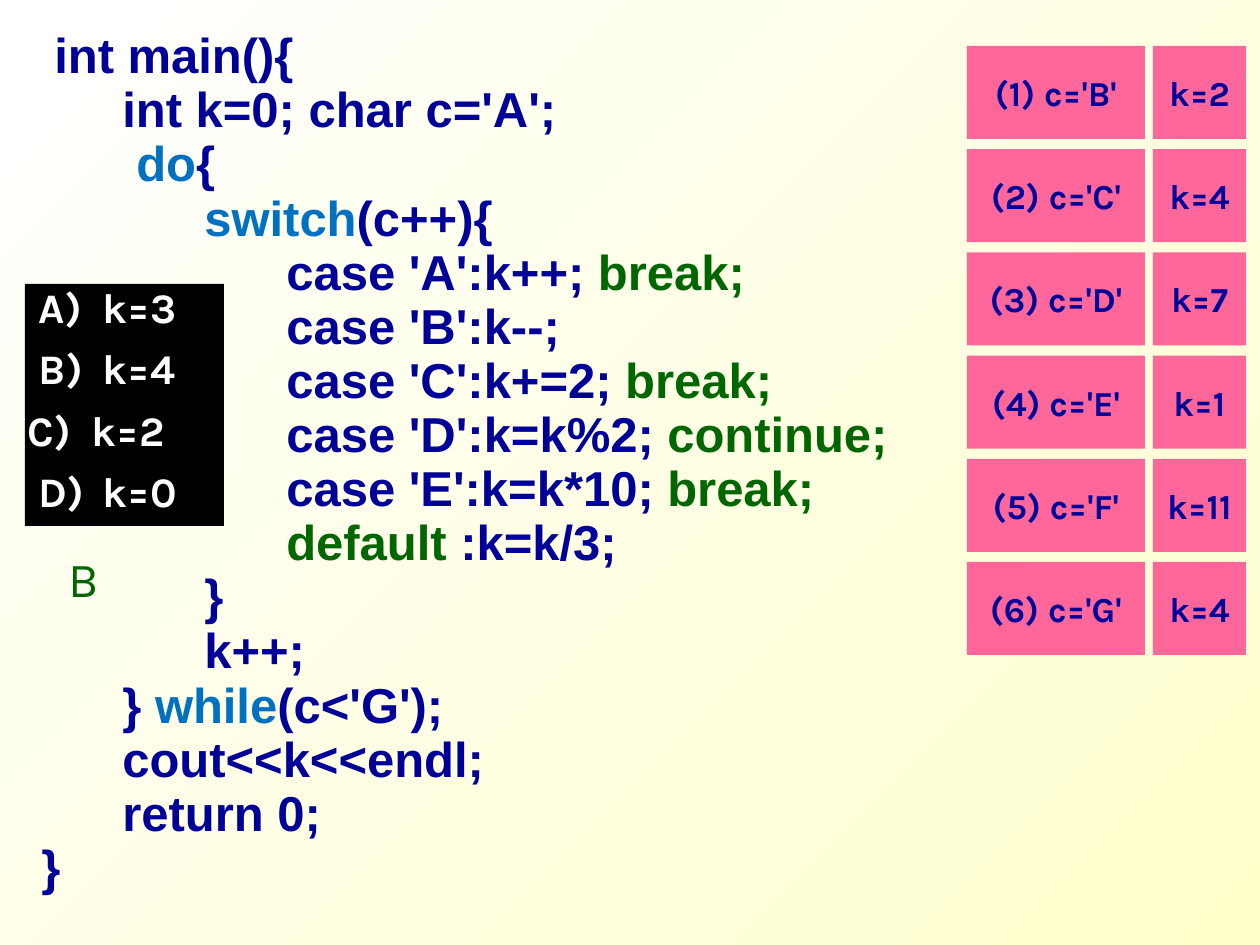
from pptx import Presentation
from pptx.dml.color import RGBColor
from pptx.enum.shapes import MSO_SHAPE
from pptx.enum.text import MSO_ANCHOR, PP_ALIGN
from pptx.util import Emu, Pt

SCALE = 914400 / 126
WHITE = RGBColor(0xFF, 0xFF, 0xFF)
CREAM = RGBColor(0xFF, 0xFF, 0xCC)
BLACK = RGBColor(0x00, 0x00, 0x00)
PINK = RGBColor(0xFF, 0x66, 0x99)
NAVY = RGBColor(0x00, 0x00, 0x99)
BLUE = RGBColor(0x00, 0x70, 0xC0)
GREEN = RGBColor(0x00, 0x66, 0x00)

CODE_FONT = {"name": "Arial", "size": Pt(28), "bold": True}
OPTION_FONT = {"name": "Karla", "size": Pt(24), "bold": True}
TRACE_FONT = {"name": "Karla", "size": Pt(20), "bold": True}
ANSWER_FONT = {"name": "Karla", "size": Pt(28), "bold": False}
CODE_SPACING = {"line_spacing": 0.4, "space_before": Pt(17.5)}
OPTION_SPACING = {"line_spacing": 0.7, "space_before": Pt(15)}
CENTERED = {"alignment": PP_ALIGN.CENTER}

CODE = [
    (27, [("int main(){", NAVY)]),
    (95, [("int k=0; char c='A';", NAVY)]),
    (109, [("do", BLUE), ("{", NAVY)]),
    (177, [("switch", BLUE), ("(c++){", NAVY)]),
    (259, [("case 'A':k++; ", NAVY), ("break;", GREEN)]),
    (259, [("case 'B':k--;", NAVY)]),
    (259, [("case 'C':k+=2; ", NAVY), ("break;", GREEN)]),
    (259, [("case 'D':k=k%2; ", NAVY), ("continue;", GREEN)]),
    (259, [("case 'E':k=k*10; ", NAVY), ("break;", GREEN)]),
    (259, [("default ", GREEN), (":k=k/3;", NAVY)]),
    (177, [("}", NAVY)]),
    (177, [("k++;", NAVY)]),
    (95, [("} ", NAVY), ("while", BLUE), ("(c<'G');", NAVY)]),
    (95, [("cout<<k<<endl;", NAVY)]),
    (95, [("return 0;", NAVY)]),
    (14, [("}", NAVY)]),
]
OPTIONS = [(14, "A)\tk=3"), (14, "B)\tk=4"), (3, "C)\tk=2"), (14, "D)\tk=0")]
TRACE = [
    ("(1) c='B'", "k=2"),
    ("(2) c='C'", "k=4"),
    ("(3) c='D'", "k=7"),
    ("(4) c='E'", "k=1"),
    ("(5) c='F'", "k=11"),
    ("(6) c='G'", "k=4"),
]


def px(length):
    """Turn px into EMU."""
    return Emu(round(length * SCALE))


def apply_format(target, values):
    """Set each format value as an attribute of the target."""
    for attribute, value in values.items():
        setattr(target, attribute, value)


def write_line(frame, parts, font, layout, margin=0, hanging=0):
    """Write coloured parts as the next paragraph of a frame."""
    line = frame.paragraphs[0]
    if line.runs:
        line = frame.add_paragraph()
    apply_format(line, layout)
    properties = line._p.get_or_add_pPr()
    properties.set("marL", str(px(margin + hanging)))
    properties.set("indent", str(px(-hanging)))
    for text, color in parts:
        part = line.add_run()
        part.text = text
        apply_format(part.font, font)
        part.font.color.rgb = color


def add_text_area(slide, box, anchor=MSO_ANCHOR.MIDDLE):
    """Add a wrapping text area and return its frame."""
    frame = slide.shapes.add_textbox(*map(px, box)).text_frame
    apply_format(frame, {"word_wrap": True, "vertical_anchor": anchor})
    return frame


def add_panel(slide, box, color):
    """Add a plain filled rectangle and return its text frame."""
    panel = slide.shapes.add_shape(MSO_SHAPE.RECTANGLE, *map(px, box))
    panel.shadow.inherit = False
    panel.fill.solid()
    panel.fill.fore_color.rgb = color
    panel.line.fill.background()
    frame = panel.text_frame
    apply_format(frame, {"word_wrap": False, "vertical_anchor": MSO_ANCHOR.MIDDLE})
    return frame


def paint_background(slide):
    """Fill the slide with a diagonal gradient."""
    fill = slide.background.fill
    fill.gradient()
    fill.gradient_angle = 315
    for stop, position, color in zip(fill.gradient_stops, (0, 1), (WHITE, CREAM)):
        stop.position = position
        stop.color.rgb = color


def add_code(slide, box):
    """Add the program listing."""
    listing = add_text_area(slide, box)
    for margin, parts in CODE:
        write_line(listing, parts, CODE_FONT, CODE_SPACING, margin)


def add_options(slide, box):
    """Add the four possible answers."""
    options = add_panel(slide, box, BLACK)
    apply_format(options, {"margin_left": 0, "margin_right": 0, "word_wrap": True})
    layout = {"alignment": PP_ALIGN.LEFT, **OPTION_SPACING}
    for margin, text in OPTIONS:
        write_line(options, [(text, WHITE)], OPTION_FONT, layout, margin, 64)


def add_trace(slide, box):
    """Add one row of values for each pass of the loop."""
    left, top, width, height = box
    side, gap = 93, 8
    pitch = (height - side) / (len(TRACE) - 1)
    columns = [(left, width - side - gap), (left + width - side, side)]
    for row, values in enumerate(TRACE):
        for (cell_left, cell_width), text in zip(columns, values):
            cell_box = (cell_left, top + row * pitch, cell_width, side)
            cell = add_panel(slide, cell_box, PINK)
            write_line(cell, [(text, NAVY)], TRACE_FONT, CENTERED)


def add_answer(slide, box):
    """Add the letter of the right answer."""
    answer = add_text_area(slide, box, MSO_ANCHOR.TOP)
    write_line(answer, [("B", GREEN)], ANSWER_FONT, CENTERED)


def main():
    """Build and save the slide."""
    deck = Presentation()
    apply_format(deck, {"slide_width": px(1260), "slide_height": px(945)})
    slide = deck.slides.add_slide(deck.slide_layouts[6])
    paint_background(slide)
    add_code(slide, (15, 0, 1029, 945))
    add_options(slide, (25, 284, 199, 242))
    add_trace(slide, (967, 46, 279, 609))
    add_answer(slide, (25, 542, 118, 72))
    deck.save("out.pptx")


if __name__ == "__main__":
    main()
